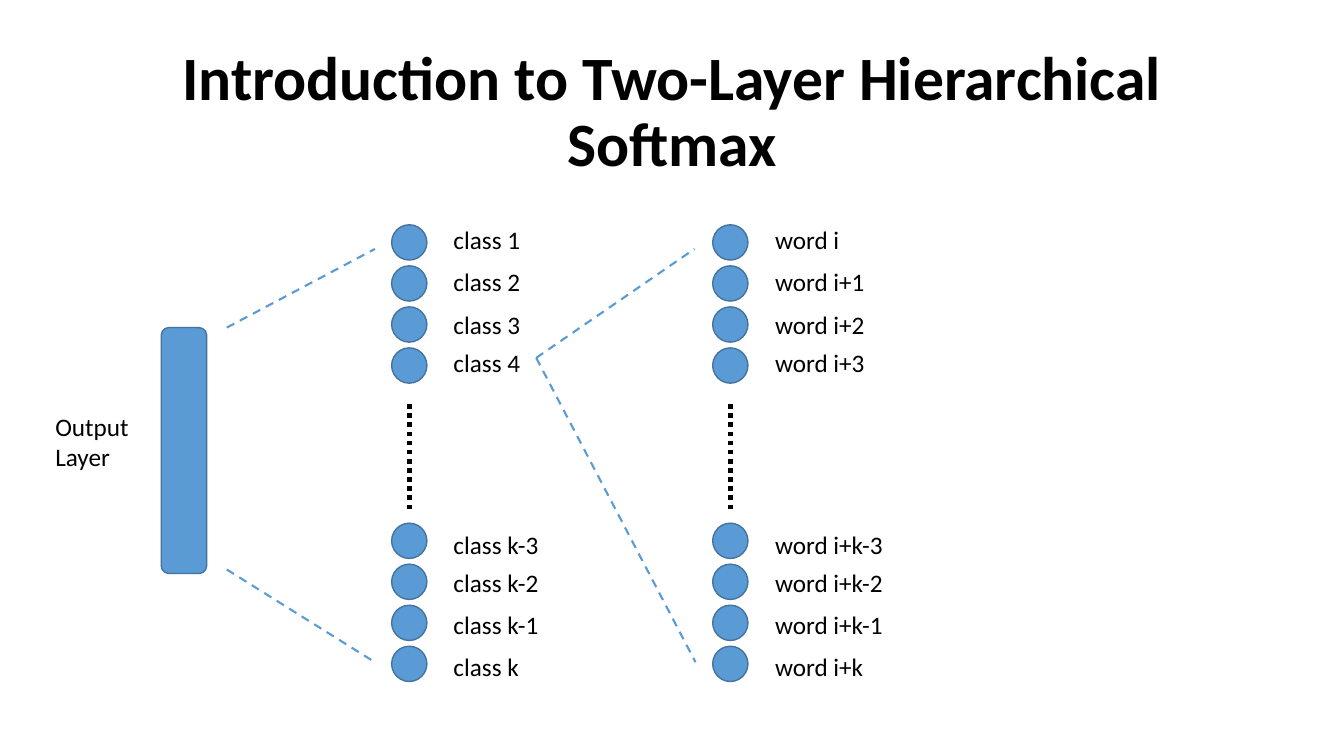
from dataclasses import dataclass

from lxml import etree
from pptx import Presentation
from pptx.dml.color import RGBColor
from pptx.enum.dml import MSO_LINE
from pptx.enum.shapes import MSO_CONNECTOR, MSO_SHAPE
from pptx.enum.text import MSO_ANCHOR, MSO_AUTO_SIZE, PP_ALIGN
from pptx.oxml.ns import qn
from pptx.util import Inches, Pt

DASH, DOTS = MSO_LINE.DASH, MSO_LINE.ROUND_DOT
OVAL, ROUNDED = MSO_SHAPE.OVAL, MSO_SHAPE.ROUNDED_RECTANGLE
STRAIGHT = MSO_CONNECTOR.STRAIGHT
TOP, MIDDLE = MSO_ANCHOR.TOP, MSO_ANCHOR.MIDDLE
LEFT, CENTER = PP_ALIGN.LEFT, PP_ALIGN.CENTER
FIT_SHAPE, NO_FIT = MSO_AUTO_SIZE.SHAPE_TO_FIT_TEXT, MSO_AUTO_SIZE.NONE

# Grid: one column or row is a tenth of an inch
CELL = Inches(0.1)
SLIDE_COLUMNS, SLIDE_ROWS = 133.33, 75


@dataclass(frozen=True)
class Theme:
    font: str = "Calibri"
    text: RGBColor = RGBColor(0, 0, 0)
    fill: RGBColor = RGBColor(0x5B, 0x9B, 0xD5)
    outline: RGBColor = RGBColor(0x43, 0x73, 0x9E)
    title_size: float = 44
    label_size: float = 18
    outline_width: float = 1
    link_width: float = 1.5
    dots_width: float = 3.25


@dataclass(frozen=True)
class Box:
    column: float
    row: float
    columns: float
    rows: float

    def lengths(self) -> list[int]:
        return [round(cells * CELL) for cells in
                (self.column, self.row, self.columns, self.rows)]


@dataclass(frozen=True)
class Layer:
    node_column: float
    label_column: float
    labels: tuple[str, ...]


@dataclass(frozen=True)
class Link:
    start: tuple[float, float]
    end: tuple[float, float]


THEME = Theme()
NODE_SIZE, NODE_PITCH = 3.5, 4.07
GROUP_ROWS, GROUP_SIZE = (22.3, 51.9), 4
LABEL_ROWS = (21.8, 25.9, 30.2, 34, 52, 55.8, 60, 64.1)
LABEL_COLUMNS, LABEL_HEIGHT = 12.8, 4
DOTS_TOP, DOTS_BOTTOM = 40.1, 50.5

LAYERS = (
    Layer(38.85, 44, ("class 1", "class 2", "class 3", "class 4",
                      "class k-3", "class k-2", "class k-1", "class k")),
    Layer(70.7, 75.9, ("word i", "word i+1", "word i+2", "word i+3",
                       "word i+k-3", "word i+k-2", "word i+k-1", "word i+k")),
)
LINKS = (
    Link((22.5, 32.5), (37.2, 24.7)),
    Link((22.5, 56.5), (37.2, 65.7)),
    Link((53.2, 35.5), (68.9, 24.7)),
    Link((53.2, 35.5), (69, 65.7)),
)


def add_text(slide, box: Box, text: str, size: float = THEME.label_size,
             bold: bool = False, align=LEFT, anchor=TOP, auto_size=FIT_SHAPE,
             line_spacing: float = 1.0) -> None:
    frame = slide.shapes.add_textbox(*box.lengths()).text_frame
    frame.text = text
    paragraph = frame.paragraphs[0]
    formats = {
        frame: {"word_wrap": True, "auto_size": auto_size,
                "vertical_anchor": anchor},
        paragraph: {"alignment": align, "line_spacing": line_spacing},
        paragraph.runs[0].font: {"name": THEME.font, "size": Pt(size),
                                 "bold": bold},
    }
    for target, values in formats.items():
        for name, value in values.items():
            setattr(target, name, value)
    paragraph.runs[0].font.color.rgb = THEME.text


def add_block(slide, kind, box: Box) -> None:
    shape = slide.shapes.add_shape(kind, *box.lengths())
    shape.shadow.inherit = False
    shape.fill.solid()
    shape.fill.fore_color.rgb = THEME.fill
    shape.line.color.rgb = THEME.outline
    shape.line.width = Pt(THEME.outline_width)


def add_line(slide, link: Link, color: RGBColor, width: float, dash) -> None:
    ends = [round(cells * CELL) for cells in link.start + link.end]
    connector = slide.shapes.add_connector(STRAIGHT, *ends)
    connector.line.color.rgb = color
    connector.line.width = Pt(width)
    connector.line.dash_style = dash
    etree.SubElement(connector._element.spPr, qn("a:effectLst"))


def add_layer(slide, layer: Layer) -> None:
    # Two groups of evenly spaced nodes
    for group_row in GROUP_ROWS:
        for index in range(GROUP_SIZE):
            row = group_row + index * NODE_PITCH
            add_block(slide, OVAL,
                      Box(layer.node_column, row, NODE_SIZE, NODE_SIZE))

    # Dots for the nodes left out
    center = layer.node_column + NODE_SIZE / 2
    add_line(slide, Link((center, DOTS_TOP), (center, DOTS_BOTTOM)),
             THEME.text, THEME.dots_width, DOTS)

    # Node labels
    for row, label in zip(LABEL_ROWS, layer.labels):
        add_text(slide, Box(layer.label_column, row, LABEL_COLUMNS,
                            LABEL_HEIGHT), label)


def main() -> None:
    presentation = Presentation()
    presentation.slide_width = round(SLIDE_COLUMNS * CELL)
    presentation.slide_height = round(SLIDE_ROWS * CELL)
    slide = presentation.slides.add_slide(presentation.slide_layouts[6])

    # Title
    add_text(slide, Box(9.2, 4, 115, 14.5),
             "Introduction to Two-Layer Hierarchical Softmax",
             size=THEME.title_size, bold=True, align=CENTER, anchor=MIDDLE,
             auto_size=NO_FIT, line_spacing=0.9)

    # Output layer
    add_block(slide, ROUNDED, Box(16, 32.5, 4.5, 24.4))
    add_text(slide, Box(4.5, 40.3, 9.5, 7.1), "Output Layer")

    # Class and word layers with the links between them
    for layer in LAYERS:
        add_layer(slide, layer)
    for link in LINKS:
        add_line(slide, link, THEME.fill, THEME.link_width, DASH)

    presentation.save("out.pptx")


if __name__ == "__main__":
    main()
